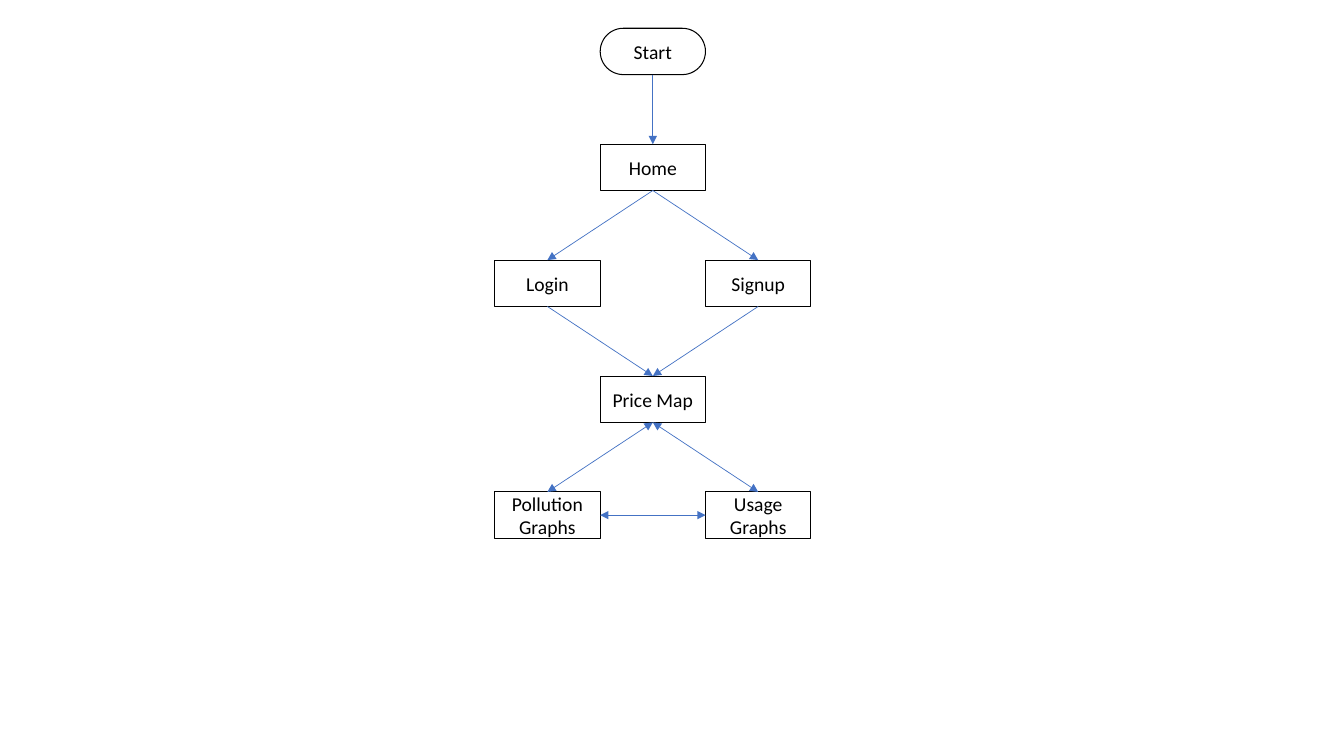
from lxml import etree
from pptx import Presentation
from pptx.dml.color import RGBColor
from pptx.enum.shapes import MSO_CONNECTOR, MSO_SHAPE
from pptx.enum.text import MSO_ANCHOR, PP_ALIGN
from pptx.oxml.ns import qn
from pptx.util import Pt

ROUND = MSO_SHAPE.ROUNDED_RECTANGLE
LINE = MSO_CONNECTOR.STRAIGHT
MIDDLE = MSO_ANCHOR.MIDDLE
CENTER = PP_ALIGN.CENTER
TOP, LEFT, BOTTOM, RIGHT = range(4)


def color(code):
    return RGBColor.from_string(code)


class Chart:
    font, size = "Calibri", 14
    ink, blue = "000000", "4472C4"
    x, y = 353.4, 20.2
    wide, high = 75.2, 33.1
    step, drop = 75.3, 82.8

    def __init__(self, slide):
        self.slide = slide

    def box(self, text, col, row, bend=0):
        """Add a step on the grid of columns and rows."""
        shape = self.slide.shapes.add_shape(
            ROUND, Pt(self.x + col * self.step), Pt(self.y + row * self.drop),
            Pt(self.wide), Pt(self.high))
        shape.adjustments[0] = bend
        shape.shadow.inherit = False
        shape.fill.background()
        shape.line.color.rgb = color(self.ink)
        shape.line.width = Pt(0.75)
        frame = shape.text_frame
        frame.word_wrap = True
        frame.vertical_anchor = MIDDLE
        frame.margin_left = frame.margin_right = Pt(3.6)
        frame.margin_top = frame.margin_bottom = 0
        frame.text = text
        para = frame.paragraphs[0]
        para.alignment = CENTER
        font = para.runs[0].font
        font.name, font.size = self.font, Pt(self.size)
        font.color.rgb = color(self.ink)
        return shape

    def arrow(self, start, end, both=False, out=BOTTOM, into=TOP):
        """Join two steps, with a head at the end or at both ends."""
        link = self.slide.shapes.add_connector(LINE, 0, 0, 0, 0)
        link.begin_connect(start, out)
        link.end_connect(end, into)
        link.line.color.rgb = color(self.blue)
        link.line.width = Pt(0.5)
        stroke = link.line._get_or_add_ln()
        for tag in ("a:headEnd", "a:tailEnd") if both else ("a:tailEnd",):
            etree.SubElement(stroke, qn(tag), type="triangle")
        etree.SubElement(link._element.spPr, qn("a:effectLst"))


def main():
    deck = Presentation()
    deck.slide_width, deck.slide_height = Pt(960), Pt(540)
    chart = Chart(deck.slides.add_slide(deck.slide_layouts[6]))

    # Steps
    start = chart.box("Start", 1, 0, bend=0.5)
    home = chart.box("Home", 1, 1)
    login = chart.box("Login", 0, 2)
    signup = chart.box("Signup", 2, 2)
    price = chart.box("Price Map", 1, 3)
    smoke = chart.box("Pollution Graphs", 0, 4)
    usage = chart.box("Usage Graphs", 2, 4)

    # One-way flow
    chart.arrow(start, home)
    for step in (login, signup):
        chart.arrow(home, step)
        chart.arrow(step, price)

    # Two-way flow
    for step in (smoke, usage):
        chart.arrow(price, step, both=True)
    chart.arrow(smoke, usage, both=True, out=RIGHT, into=LEFT)

    deck.save("out.pptx")


if __name__ == "__main__":
    main()
